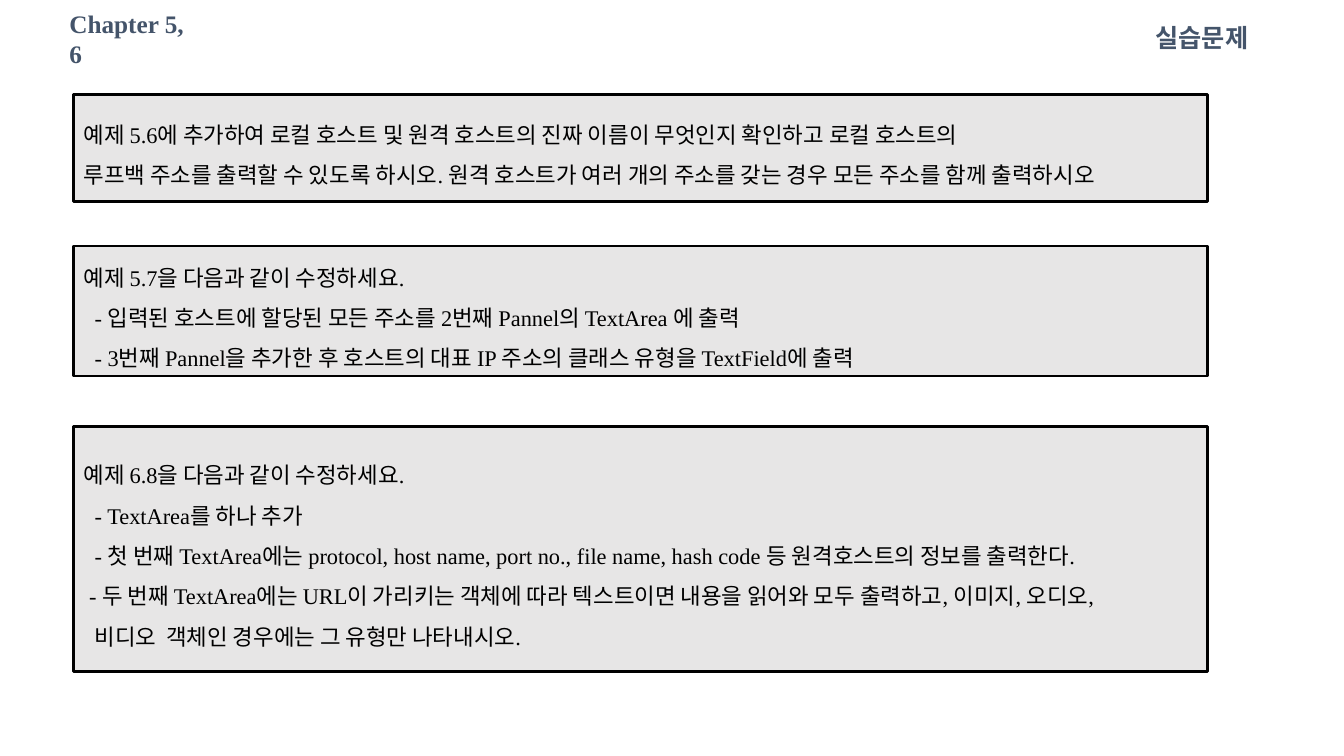
from pptx import Presentation
from pptx.dml.color import RGBColor
from pptx.enum.shapes import MSO_SHAPE
from pptx.enum.text import MSO_ANCHOR, PP_ALIGN
from pptx.util import Inches, Pt

SLATE = RGBColor(0x44, 0x54, 0x6A)
PALE_GREY = RGBColor(0xE7, 0xE6, 0xE6)
BLACK = RGBColor(0, 0, 0)

# Each exercise: top and height in percent of the slide, then (indent in spaces, text) lines.
EXERCISES = [
    (12.53, 14.13, [
        (0, "예제 5.6에 추가하여 로컬 호스트 및 원격 호스트의 진짜 이름이 무엇인지 확인하고 로컬 호스트의"),
        (0, "루프백 주소를 출력할 수 있도록 하시오. 원격 호스트가 여러 개의 주소를 갖는 경우 모든 주소를 함께 출력하시오"),
    ]),
    (32.53, 17.2, [
        (0, "예제 5.7을 다음과 같이 수정하세요."),
        (2, "- 입력된 호스트에 할당된 모든 주소를 2번째 Pannel의 TextArea 에 출력"),
        (2, "- 3번째 Pannel을 추가한 후 호스트의 대표 IP 주소의 클래스 유형을 TextField에 출력"),
    ]),
    (56.4, 32.4, [
        (0, "예제 6.8을 다음과 같이 수정하세요."),
        (2, "- TextArea를 하나 추가"),
        (2, "- 첫 번째 TextArea에는 protocol, host name, port no., file name, hash code 등 원격호스트의 정보를 출력한다."),
        (1, "- 두 번째 TextArea에는 URL이 가리키는 객체에 따라 텍스트이면 내용을 읽어와 모두 출력하고, 이미지, 오디오,"),
        (2, "비디오  객체인 경우에는 그 유형만 나타내시오."),
    ]),
]


class ExercisePage:
    """Holds the style and the slide; places are percentages of the slide's size."""

    font_name = "Times New Roman"
    heading_size = Pt(18)
    body_size = Pt(16)
    space_width = Pt(4)
    line_spacing = 1.5

    def __init__(self, deck):
        self.deck = deck
        self.page = deck.slides.add_slide(deck.slide_layouts[6])

    def place(self, left, top, width, height):
        across, down = self.deck.slide_width, self.deck.slide_height
        return [int(share * size / 100) for share, size in
                ((left, across), (top, down), (width, across), (height, down))]

    def add_span(self, para, text, size, color, bold=False):
        span = para.add_run()
        span.text = text
        span.font.name = self.font_name
        span.font.size = size
        span.font.bold = bold
        span.font.color.rgb = color

    def heading(self, text, left, top, width, align):
        box = self.page.shapes.add_textbox(*self.place(left, top, width, 5.6))
        frame = box.text_frame
        frame.word_wrap = False
        frame.vertical_anchor = MSO_ANCHOR.MIDDLE
        para = frame.paragraphs[0]
        para.alignment = align
        self.add_span(para, text, self.heading_size, SLATE, bold=True)

    def exercise(self, top, height, lines):
        box = self.page.shapes.add_shape(
            MSO_SHAPE.RECTANGLE, *self.place(5.48, top, 84.4, height))
        box.shadow.inherit = False
        box.fill.solid()
        box.fill.fore_color.rgb = PALE_GREY
        box.line.color.rgb = BLACK
        box.line.width = Pt(2)
        frame = box.text_frame
        frame.word_wrap = True
        frame.vertical_anchor = MSO_ANCHOR.MIDDLE
        for number, (indent, text) in enumerate(lines):
            para = frame.add_paragraph() if number else frame.paragraphs[0]
            para.alignment = PP_ALIGN.JUSTIFY
            para.line_spacing = self.line_spacing
            para._p.get_or_add_pPr().set("marL", str(indent * self.space_width))
            self.add_span(para, text, self.body_size, BLACK)


def main():
    deck = Presentation()
    deck.slide_width, deck.slide_height = Inches(13.33), Inches(7.5)
    page = ExercisePage(deck)
    page.heading("Chapter 5, 6", 4.43, 2.27, 10.65, PP_ALIGN.LEFT)
    page.heading("실습문제", 75.17, 2.13, 18.45, PP_ALIGN.RIGHT)
    for top, height, lines in EXERCISES:
        page.exercise(top, height, lines)
    deck.save("out.pptx")


if __name__ == "__main__":
    main()
